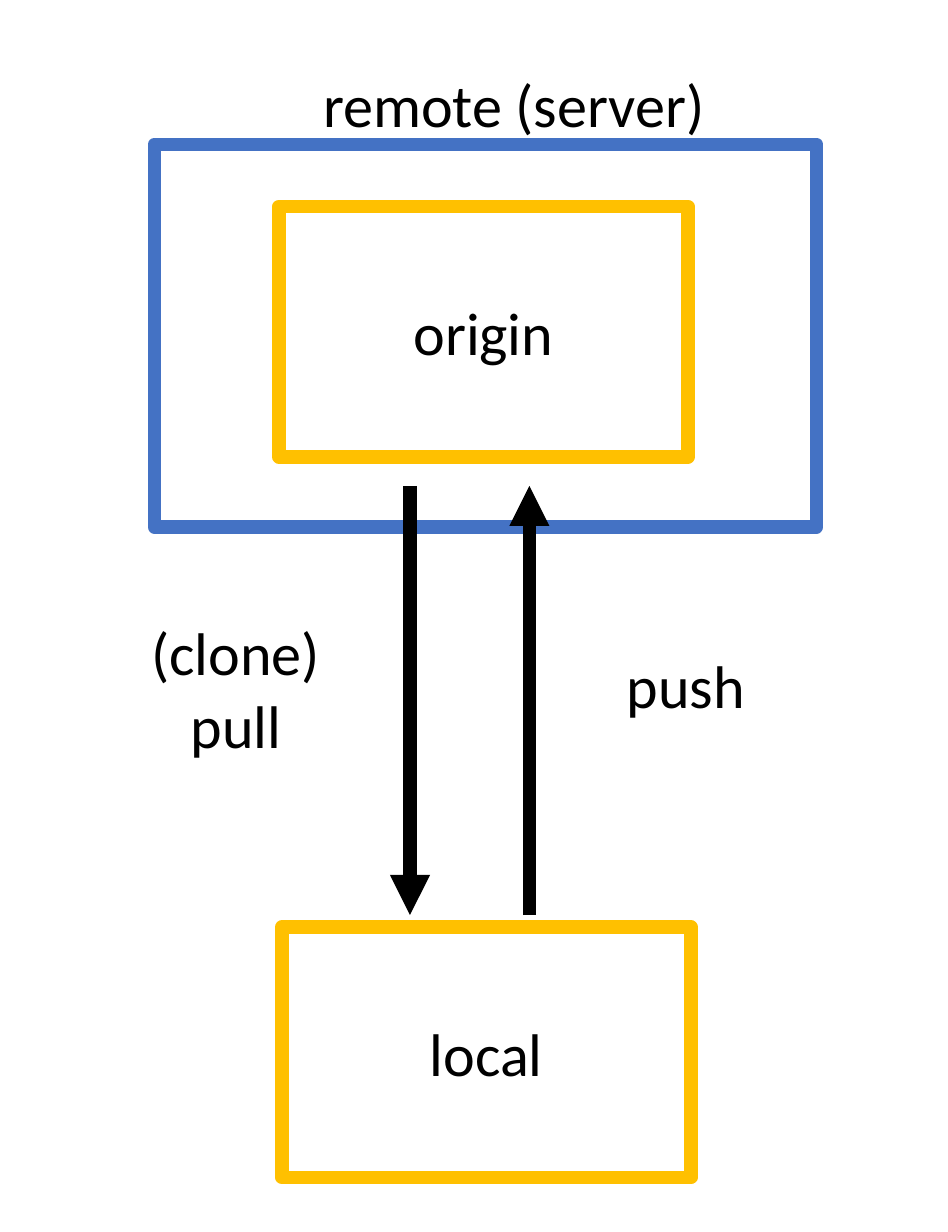
from dataclasses import dataclass
from lxml.etree import SubElement
from pptx import Presentation
from pptx.dml.color import RGBColor
from pptx.enum.shapes import MSO_CONNECTOR, MSO_SHAPE
from pptx.enum.text import MSO_ANCHOR, PP_ALIGN
from pptx.oxml.ns import qn
from pptx.util import Pt


@dataclass(frozen=True)
class Theme:
    font: str = "Calibri"
    size: float = 18
    line: float = 4
    ink: str = "000000"
    paper: str = "FFFFFF"
    remote: str = "4472C4"
    repository: str = "FFC000"


theme = Theme()
SLIDE_SIZE = (283.68, 368.64)
REPOSITORY_SIZE = (122.4, 75)
ARROW_TOP, ARROW_BOTTOM = 145.4, 273.8

REMOTE = (46.2, 43.2, 198.2, 114.5)
REPOSITORIES = [("origin", 83.5, 61.8), ("local", 84.4, 277.4)]
ARROWS = [
    (122.7, ARROW_TOP, ARROW_BOTTOM),
    (158.4, ARROW_BOTTOM, ARROW_TOP),
]
LABELS = [
    ("(clone)\npull", (31, 180.7, 79.2, 50.9)),
    ("remote (server)", (76.8, 16.7, 154.1, 29.1)),
    ("push", (165.6, 190.4, 79.2, 29.1)),
]


def color(value):
    return RGBColor.from_string(value)


def points(values):
    return [Pt(value) for value in values]


def write(shape, text, anchor=MSO_ANCHOR.TOP, align=PP_ALIGN.CENTER):
    frame = shape.text_frame
    frame.word_wrap = True
    frame.vertical_anchor = anchor
    frame.text = text
    for paragraph in frame.paragraphs:
        paragraph.alignment = align
        font = paragraph.runs[0].font
        font.name, font.size = theme.font, Pt(theme.size)
        font.color.rgb = color(theme.ink)


def style_line(line, value):
    line.color.rgb = color(value)
    line.width = Pt(theme.line)


def add_box(slide, bounds, outline):
    shape = slide.shapes.add_shape(MSO_SHAPE.RECTANGLE, *points(bounds))
    shape.shadow.inherit = False
    shape.fill.solid()
    shape.fill.fore_color.rgb = color(theme.paper)
    style_line(shape.line, outline)
    return shape


def add_arrow(slide, x, start, end):
    arrow = slide.shapes.add_connector(
        MSO_CONNECTOR.STRAIGHT, *points((x, start, x, end)))
    style_line(arrow.line, theme.ink)
    SubElement(arrow.line._get_or_add_ln(), qn("a:tailEnd"), type="triangle")
    SubElement(arrow._element.spPr, qn("a:effectLst"))


presentation = Presentation()
presentation.slide_width, presentation.slide_height = points(SLIDE_SIZE)
slide = presentation.slides.add_slide(presentation.slide_layouts[6])

add_box(slide, REMOTE, theme.remote)
for name, left, top in REPOSITORIES:
    box = add_box(slide, (left, top, *REPOSITORY_SIZE), theme.repository)
    write(box, name, anchor=MSO_ANCHOR.MIDDLE)
for arrow in ARROWS:
    add_arrow(slide, *arrow)
for text, bounds in LABELS:
    write(slide.shapes.add_textbox(*points(bounds)), text)

presentation.save("out.pptx")
